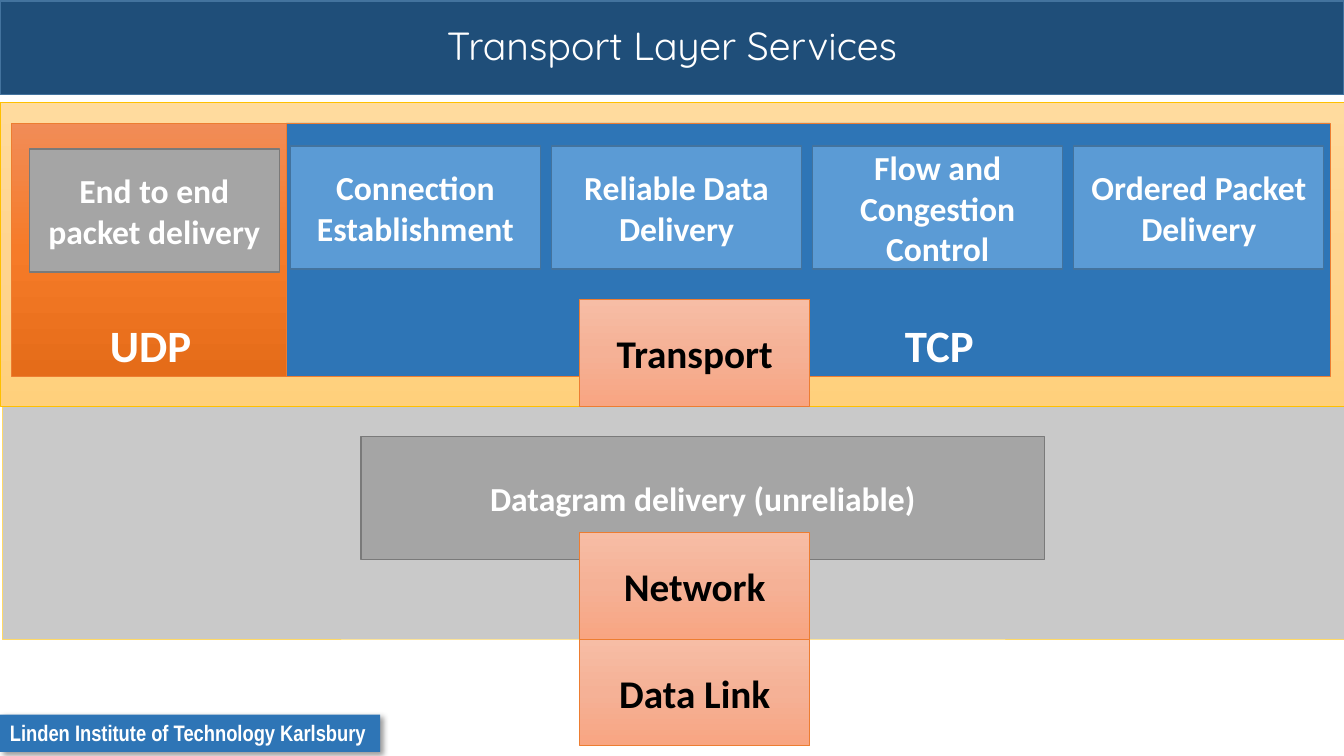
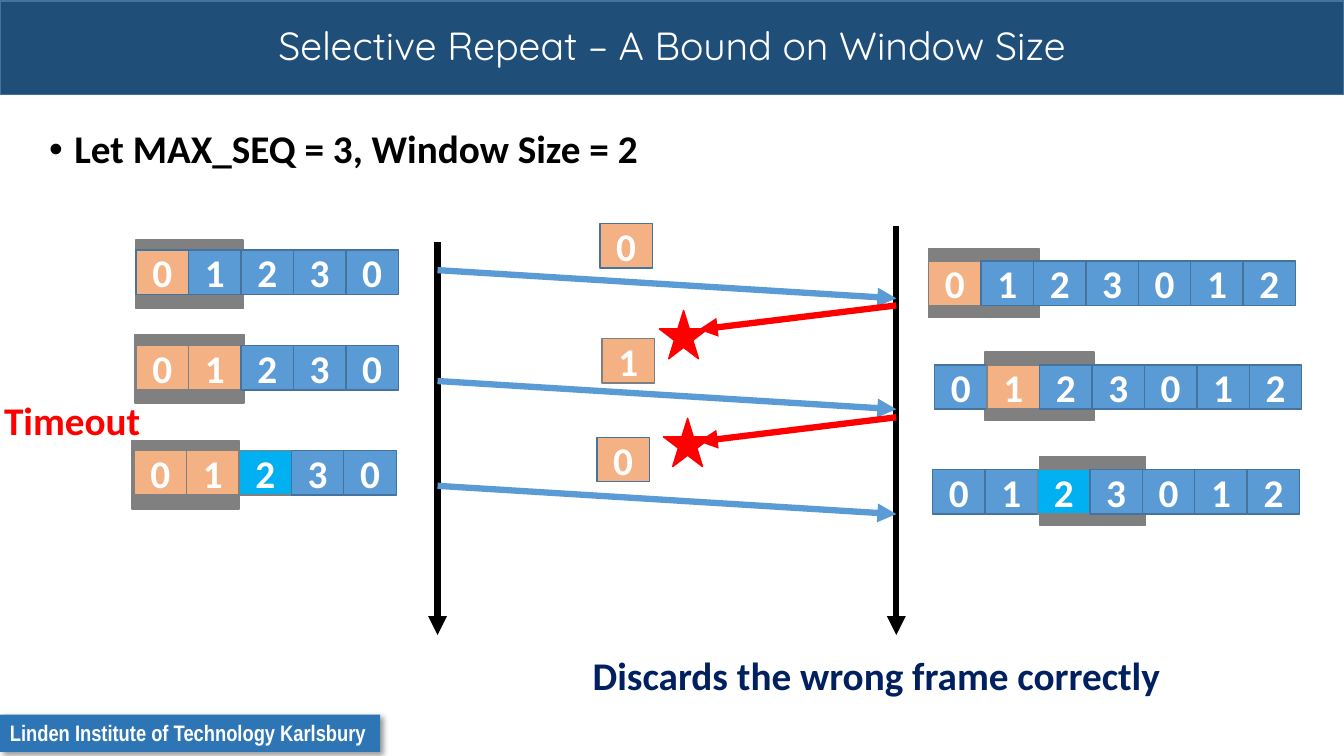
from copy import deepcopy

from lxml import etree
from pptx import Presentation
from pptx.dml.color import RGBColor
from pptx.enum.shapes import MSO_CONNECTOR, MSO_SHAPE
from pptx.enum.text import MSO_ANCHOR, PP_ALIGN
from pptx.oxml.ns import qn
from pptx.util import Inches, Pt

RECT, STAR = MSO_SHAPE.RECTANGLE, MSO_SHAPE.STAR_5_POINT
LINE = MSO_CONNECTOR.STRAIGHT
TOP, MIDDLE, BOTTOM = MSO_ANCHOR.TOP, MSO_ANCHOR.MIDDLE, MSO_ANCHOR.BOTTOM
LEFT, CENTER = PP_ALIGN.LEFT, PP_ALIGN.CENTER

HUES = {
    "navy": "1F4E79", "blue": "2E75B6", "sky": "5B9BD5", "edge": "43739E",
    "cyan": "00B0F0", "ink": "002060", "white": "FFFFFF", "black": "000000",
    "red": "FF0000", "peach": "F4B183", "rust": "ED7D31", "gold": "FFC000",
    "sand": "FFD966", "pale": "C9C9C9", "gray": "A5A5A5", "slate": "7A7A7A",
    "dark": "808080",
}
FADES = {
    "amber": ("FFDB9E", "FFD590", "FFD07C"),
    "flame": ("F18C57", "F67B28", "E56C19"),
    "blush": ("F7BDA5", "F5B196", "F8A582"),
}
CELLS = {
    "b": ("sky", "edge"), "p": ("peach", "edge"),
    "s": ("peach", "dark"), "n": ("cyan", "dark"),
}
CELL_W, CELL_H = 0.52, 0.44


def hue(name):
    return RGBColor.from_string(HUES[name])


def fade(shape, name):
    fill = shape.fill
    fill.gradient()
    fill.gradient_angle = 270
    stops = shape._element.spPr.find(qn("a:gradFill")).find(qn("a:gsLst"))
    stops.insert(1, deepcopy(stops[0]))
    for i, (stop, tint) in enumerate(zip(fill.gradient_stops, FADES[name])):
        stop.position = i / 2
        stop.color.rgb = RGBColor.from_string(tint)


def block(shapes, box, fill, line=None, width=1, kind=RECT):
    shape = shapes.add_shape(kind, *map(Inches, box))
    shape.shadow.inherit = False
    if fill in FADES:
        fade(shape, fill)
    else:
        shape.fill.solid()
        shape.fill.fore_color.rgb = hue(fill)
    if line:
        shape.line.color.rgb = hue(line)
        shape.line.width = Pt(width)
    else:
        shape.line.fill.background()
    return shape


def write(shape, text, size, color="white", font="Calibri", bold=True,
          align=CENTER, anchor=MIDDLE, wrap=True):
    frame = shape.text_frame
    frame.word_wrap = wrap
    frame.vertical_anchor = anchor
    para = frame.paragraphs[0]
    para.alignment = align
    run = para.add_run()
    run.text = text
    run.font.size = Pt(size)
    run.font.name = font
    run.font.bold = bold
    run.font.color.rgb = hue(color)
    return para


def note(slide, box, text, color):
    shape = slide.shapes.add_textbox(*map(Inches, box))
    return write(shape, text, 28, color, align=LEFT, anchor=TOP)


def arrow(slide, start, end, color):
    line = slide.shapes.add_connector(LINE, *map(Inches, start + end))
    line.line.color.rgb = hue(color)
    line.line.width = Pt(4.5)
    etree.SubElement(line.line._get_or_add_ln(), qn("a:tailEnd"), type="triangle")
    etree.SubElement(line._element.spPr, qn("a:effectLst"))


def drop(shape):
    glow = shape._element.spPr.find(qn("a:effectLst"))
    outer = etree.SubElement(glow, qn("a:outerShdw"), blurRad=str(Pt(4)),
                             dist=str(Pt(3)), dir="2700000", algn="tl")
    tint = etree.SubElement(outer, qn("a:srgbClr"), val=HUES["black"])
    etree.SubElement(tint, qn("a:alpha"), val="40000")


def frame_up(deck, title):
    slide = deck.slides.add_slide(deck.slide_layouts[6])
    band = block(slide.shapes, (0, 0.01, 13.33, 0.93), "navy", "edge")
    para = write(band, title, 28, font="Quicksand", bold=False)
    para.line_spacing = 0.9
    foot = block(slide.shapes, (0, 7.09, 3.77, 0.37), "blue")
    drop(foot)
    write(foot, "Linden Institute of Technology Karlsbury", 16,
          font="Arial Narrow", align=LEFT, anchor=TOP, wrap=False)
    return slide


def card(slide, left, top, text, fill="sky", line="edge", width=2.48):
    write(block(slide.shapes, (left, top, width, 1.22), fill, line), text, 24)


def panel(slide, box, fill, name, inset=0.1):
    shape = block(slide.shapes, box, fill, "rust", 0.5)
    shape.text_frame.margin_left = Inches(inset)
    write(shape, name, 32, anchor=BOTTOM)


def layer(slide, top, name):
    shape = block(slide.shapes, (5.75, top, 2.28, 1.06), "blush", "rust", 0.5)
    write(shape, name, 28, "black")


def transport(slide, left, top):
    block(slide.shapes, (left, top, 13.33, 3.01), "amber", "gold", 0.5)
    panel(slide, (left + 0.11, top + 0.2, 2.77, 2.51), "flame", "UDP")
    card(slide, left + 0.29, top + 0.46, "End to end packet delivery",
         "gray", "slate")
    panel(slide, (left + 2.84, top + 0.2, 10.35, 2.51), "blue", "TCP", 2.7)
    jobs = ("Connection Establishment", "Reliable Data Delivery",
            "Flow and Congestion Control", "Ordered Packet Delivery")
    for i, job in enumerate(jobs):
        card(slide, left + 2.88 + i * 2.59, top + 0.43, job)
    layer(slide, top + 1.95, "Transport")


def network(slide, left, top):
    card(slide, left + 3.56, top + 0.3, "Datagram delivery (unreliable)",
         "gray", "slate", 6.78)
    layer(slide, top + 1.25, "Network")


def services(deck):
    slide = frame_up(deck, "Transport Layer Services")
    block(slide.shapes, (0.02, 4.03, 13.31, 2.31), "pale", "sand", 0.5)
    transport(slide, 0, 1.02)
    network(slide, 0.02, 4.03)
    layer(slide, 6.34, "Data Link")


def cell(shapes, left, top, digit, code):
    shape = block(shapes, (left, top, CELL_W, CELL_H), *CELLS[code])
    write(shape, digit, 28)


def buffer(slide, left, top, codes, window):
    start, lift, width = window
    block(slide.shapes, (start, top - lift, width, 0.68), "dark", "dark")
    group = slide.shapes.add_group_shape()
    for i, code in enumerate(codes):
        cell(group.shapes, left + i * CELL_W, top, str(i % 4), code)


def timing(slide, left, top, width):
    right = left + width
    arrow(slide, (left, top + 0.16), (left, 6.3), "black")
    arrow(slide, (right, top), (right, 6.3), "black")
    for y in (2.68, 3.78, 4.82):
        arrow(slide, (left, y), (right, y + 0.28), "sky")
    for y, x, peak in ((3.03, 6.54, 3.08), (4.14, 6.58, 4.15)):
        arrow(slide, (right, y), (6.93, y + 0.24), "red")
        block(slide.shapes, (x, peak, 0.48, 0.48), "red", "red", kind=STAR)
    for x, y, digit, code in ((5.95, 2.22, "0", "p"), (5.97, 3.36, "1", "s"),
                              (5.92, 4.34, "0", "p")):
        cell(slide.shapes, x, y, digit, code)


def bound(deck):
    slide = frame_up(deck, "Selective Repeat – A Bound on Window Size")
    para = note(slide, (0.39, 1.24, 12.63, 0.69),
                "Let MAX_SEQ = 3, Window Size = 2", "black")
    para.line_spacing = 0.9
    para.space_before = Pt(10)
    props = para._p.get_or_add_pPr()
    props.set("marL", str(Inches(0.25)))
    props.set("indent", str(-Inches(0.25)))
    etree.SubElement(props, qn("a:buFont"), typeface="Arial")
    etree.SubElement(props, qn("a:buChar"), char="•")
    rows = (
        (1.35, 2.48, "pbbbb", (1.35, 0.1, 1.06)),
        (1.35, 3.43, "ssbbb", (1.34, 0.11, 1.08)),
        (1.33, 4.47, "ssnbb", (1.31, 0.1, 1.06)),
        (9.21, 2.59, "sbbbbbb", (9.21, 0.12, 1.1)),
        (9.27, 3.62, "bsbbbbb", (9.77, 0.13, 1.08)),
        (9.25, 4.66, "bbnbbbb", (10.31, 0.13, 1.05)),
    )
    for row in rows:
        buffer(slide, *row)
    timing(slide, 4.34, 2.24, 4.55)
    note(slide, (0, 3.88, 1.55, 0.57), "Timeout", "red")
    slide.shapes[-1].text_frame.margin_left = Inches(0.04)
    note(slide, (5.78, 6.41, 7.24, 0.57),
         "Discards the wrong frame correctly", "ink")


def main():
    deck = Presentation()
    deck.slide_width, deck.slide_height = Inches(13.33), Inches(7.5)
    services(deck)
    bound(deck)
    deck.save("out.pptx")


if __name__ == "__main__":
    main()
